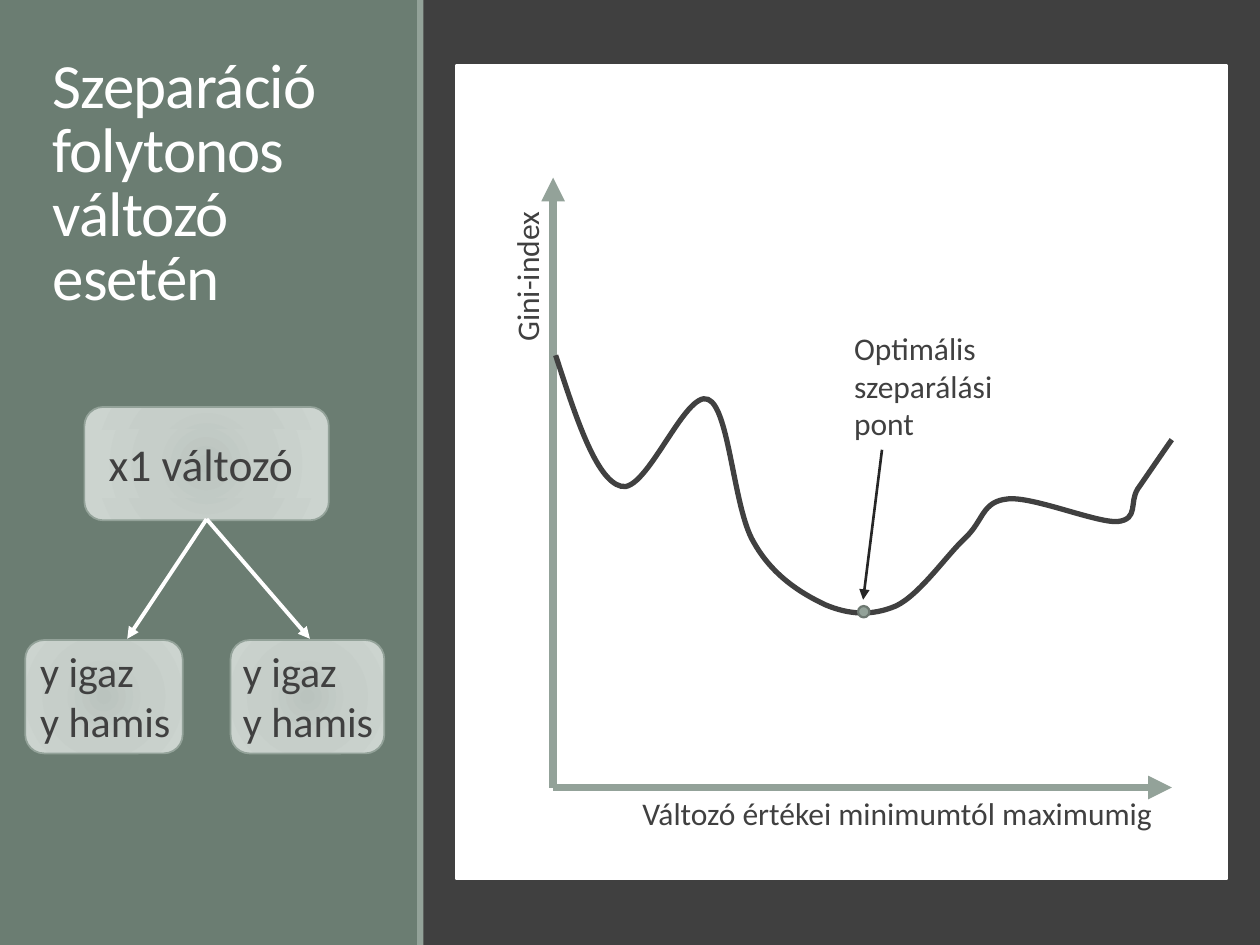
from lxml import etree
from pptx import Presentation
from pptx.dml.color import RGBColor
from pptx.enum.shapes import MSO_CONNECTOR as Connector, MSO_SHAPE as Preset
from pptx.enum.text import MSO_ANCHOR as Anchor, PP_ALIGN as Align
from pptx.oxml import parse_xml
from pptx.oxml.ns import nsdecls, qn
from pptx.util import Inches, Pt

COLORS = {
    "dark": "404040", "green": "6B7D72", "sage": "93A299", "white": "FFFFFF",
    "pointer": "262626", "dot_line": "6D7871",
}
NODE_STOPS = [(0, "BAC3BE"), (45, "C6CEC9"), (100, "CCD4CF")]

# Content: left, top, width, height come first in every box
PANELS = [
    ((0, 0, 3.32, 7.5), "green", None),
    ((3.31, 0, 0.05, 7.5), "sage", None),
    ((3.62, 0.52, 6.12, 6.46), "white", ("white", 1.25)),
]
TITLE = ((0.32, 0.26, 2.53, 2.42), "Szeparáció folytonos változó esetén")
LABELS = [
    ((3.53, 1.96, 1.3, 0.4), "Gini-index", 270),
    ((5, 6.25, 4.63, 0.4), "Változó értékei minimumtól maximumig", 0),
    ((6.68, 2.56, 1.56, 1.01), "Optimális szeparálási pont", 0),
]
NODES = [
    ((0.67, 3.23, 1.94, 0.9), (0.74, 3.41, 1.79, 0.54), "x1 változó ", 26, Align.CENTER),
    ((0.2, 5.08, 1.25, 0.9), (0.22, 5.07, 1.57, 0.91), "y igaz\vy hamis", 24, Align.LEFT),
    ((1.83, 5.08, 1.22, 0.9), (1.83, 5.07, 1.57, 0.91), "y igaz\vy hamis", 24, Align.LEFT),
]
ORIGIN, FORK = (4.39, 6.25), (1.64, 4.12)
AXES = [(ORIGIN, (4.39, 1.41)), (ORIGIN, (9.3, 6.25))]
BRANCHES = [(FORK, (1.01, 5.07)), (FORK, (2.46, 5.07))]
POINTER = ((7, 3.57), (6.85, 4.76))
OPTIMUM = (6.81, 4.81, 0.09, 0.09)
# Start point, then two control points and an end point for each curve piece
GINI_CURVE = [
    (4.41, 2.82),
    (4.57, 3.31), (4.73, 3.81), (4.93, 3.86),
    (5.13, 3.92), (5.44, 3.09), (5.62, 3.17),
    (5.79, 3.24), (5.82, 4.03), (5.98, 4.3),
    (6.13, 4.57), (6.36, 4.71), (6.55, 4.8),
    (6.74, 4.88), (6.92, 4.89), (7.11, 4.81),
    (7.3, 4.72), (7.51, 4.41), (7.66, 4.27),
    (7.81, 4.13), (7.79, 3.98), (8, 3.96),
    (8.2, 3.94), (8.7, 4.15), (8.87, 4.14),
    (9.04, 4.12), (8.96, 3.99), (9.03, 3.88),
    (9.1, 3.78), (9.25, 3.56), (9.3, 3.49),
]

deck = Presentation()
deck.slide_width, deck.slide_height = Inches(10), Inches(7.5)
page = deck.slides.add_slide(deck.slide_layouts[6])


def color(name):
    return RGBColor.from_string(COLORS[name])


def set_line(shape, line):
    if line is None:
        shape.line.fill.background()
    else:
        shape.line.color.rgb = color(line[0])
        shape.line.width = Pt(line[1])


def add_block(preset, place, fill, line=None):
    shape = page.shapes.add_shape(preset, *map(Inches, place))
    shape.shadow.inherit = False
    shape.fill.solid()
    if fill == "node":
        stops = "".join(
            f'<a:gs pos="{pos * 1000}"><a:srgbClr val="{tone}"/></a:gs>'
            for pos, tone in NODE_STOPS)
        gradient = parse_xml(
            f'<a:gradFill {nsdecls("a")} rotWithShape="1"><a:gsLst>{stops}</a:gsLst>'
            '<a:path path="circle"><a:fillToRect l="100000" t="100000" '
            'r="100000" b="100000"/></a:path></a:gradFill>')
        props = shape._element.spPr
        props.replace(props.find(qn("a:solidFill")), gradient)
    else:
        shape.fill.fore_color.rgb = color(fill)
    set_line(shape, line)
    return shape


def write(box, text, size, tone="dark", align=Align.LEFT, anchor=Anchor.TOP):
    frame = box.text_frame
    frame.word_wrap, frame.vertical_anchor = True, anchor
    para = frame.paragraphs[0]
    para.text, para.alignment = text, align
    for span in para.runs:
        for key, value in {"name": "Calibri", "size": Pt(size)}.items():
            setattr(span.font, key, value)
        span.font.color.rgb = color(tone)
    return para


def add_text(place, text, size, **look):
    box = page.shapes.add_textbox(*map(Inches, place))
    return box, write(box, text, size, **look)


def add_arrow(ends, tone, width):
    (x1, y1), (x2, y2) = ends
    arrow = page.shapes.add_connector(
        Connector.STRAIGHT, Inches(x1), Inches(y1), Inches(x2), Inches(y2))
    set_line(arrow, (tone, width))
    etree.SubElement(arrow.line._get_or_add_ln(), qn("a:tailEnd"), type="triangle")
    etree.SubElement(arrow._element.spPr, qn("a:effectLst"))


def add_curve(points, line):
    start, *others = [(Inches(x), Inches(y)) for x, y in points]
    builder = page.shapes.build_freeform(*start)
    builder.add_line_segments(others, close=False)
    curve = builder.convert_to_shape()
    curve.shadow.inherit = False
    curve.fill.background()
    set_line(curve, line)
    # Join every three straight steps into one Bezier piece
    steps = list(curve._element.iter(qn("a:lnTo")))
    for first in range(0, len(steps), 3):
        piece = etree.SubElement(steps[first].getparent(), qn("a:cubicBezTo"))
        for step in steps[first:first + 3]:
            piece.append(step[0])
            step.getparent().remove(step)


# Background and panels
page.background.fill.solid()
page.background.fill.fore_color.rgb = color("dark")
for place, fill, line in PANELS:
    add_block(Preset.RECTANGLE, place, fill, line)

# Title
_, para = add_text(*TITLE, 36, tone="white", anchor=Anchor.MIDDLE)
para.line_spacing = 0.85
para.runs[0].font._element.set("spc", "-50")

# Gini index plot
for axis in AXES:
    add_arrow(axis, "sage", 4.5)
for place, text, turn in LABELS:
    label, _ = add_text(place, text, 18)
    label.rotation = turn
add_curve(GINI_CURVE, ("dark", 3))
add_arrow(POINTER, "pointer", 1.5)
add_block(Preset.OVAL, OPTIMUM, "sage", ("dot_line", 1.25))

# Decision tree
for place, text_place, text, size, align in NODES:
    add_block(Preset.ROUNDED_RECTANGLE, place, "node", ("sage", 1))
    if align == Align.CENTER:
        write(add_block(Preset.RECTANGLE, text_place, "node"), text, size, align=align)
    else:
        add_text(text_place, text, size, align=align)
for branch in BRANCHES:
    add_arrow(branch, "white", 2.25)

deck.save("out.pptx")
